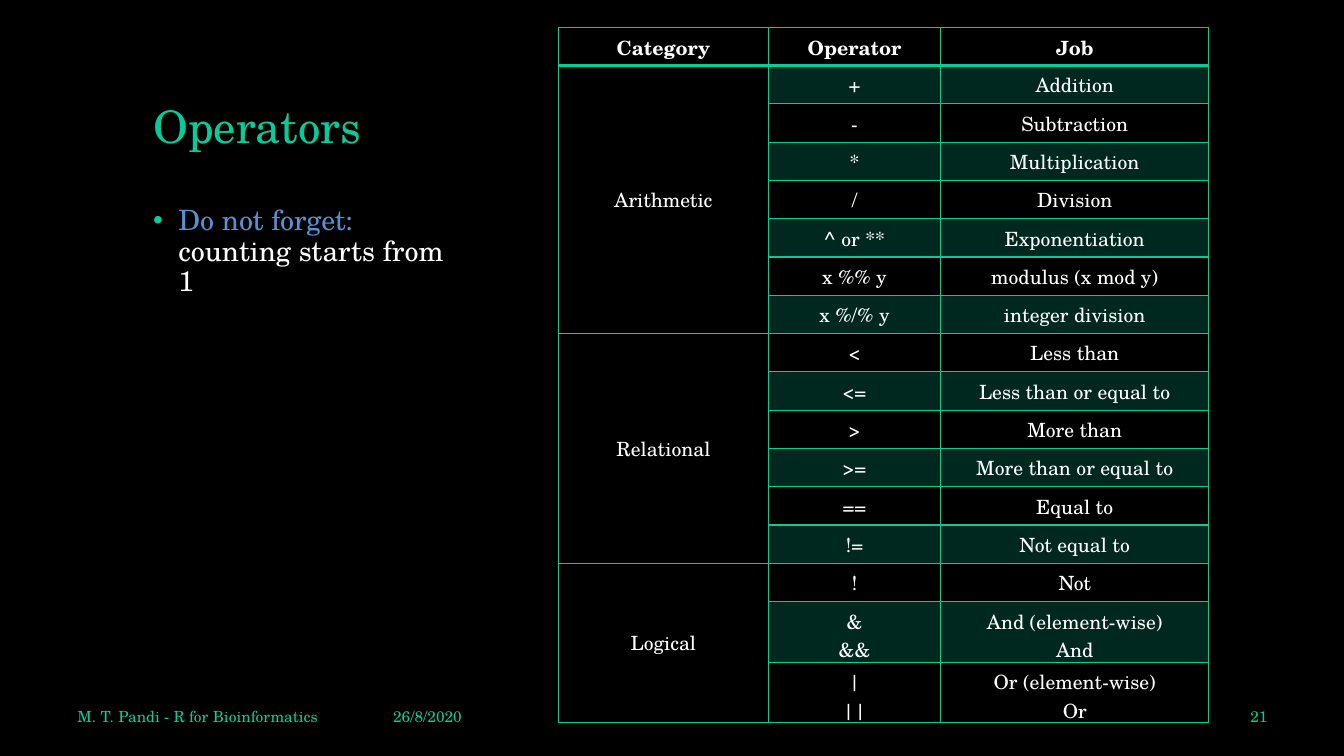
from dataclasses import dataclass

from lxml.etree import SubElement
from pptx import Presentation
from pptx.dml.color import RGBColor
from pptx.enum.text import MSO_ANCHOR, PP_ALIGN
from pptx.oxml.ns import qn
from pptx.util import Inches, Pt


@dataclass(frozen=True)
class Theme:
    font: str = "TeX Gyre Schola"
    background: str = "000000"
    text: str = "FFFFFF"
    accent: str = "07CB98"
    highlight: str = "5A90D1"
    band_opacity: int = 20
    title_size: int = 32
    body_size: int = 20
    table_size: int = 14
    footer_size: int = 11


HEADINGS = ["Category", "Operator", "Job"]
OPERATORS = {
    "Arithmetic": [
        ("+", "Addition"),
        ("-", "Subtraction"),
        ("*", "Multiplication"),
        ("/", "Division"),
        ("^ or **", "Exponentiation"),
        ("x %% y", "modulus (x mod y)"),
        ("x %/% y", "integer division"),
    ],
    "Relational": [
        ("<", "Less than"),
        ("<=", "Less than or equal to"),
        (">", "More than"),
        (">=", "More than or equal to"),
        ("==", "Equal to"),
        ("!=", "Not equal to"),
    ],
    "Logical": [
        ("!", "Not"),
        ("&\n&&", "And (element-wise)\nAnd"),
        ("|\n||", "Or (element-wise)\nOr"),
    ],
}


class SlideBuilder:
    def __init__(self, page, theme):
        self.page = page
        self.theme = theme
        page.background.fill.solid()
        page.background.fill.fore_color.rgb = RGBColor.from_string(theme.background)

    def style(self, font, size, color, bold=False):
        font.name = self.theme.font
        font.size = Pt(size)
        font.bold = bold
        font.color.rgb = RGBColor.from_string(color)

    def text_box(self, left, top, width, height, anchor):
        box = self.page.shapes.add_textbox(
            Inches(left), Inches(top), Inches(width), Inches(height))
        box.text_frame.word_wrap = True
        box.text_frame.vertical_anchor = anchor
        return box.text_frame.paragraphs[0]

    def title(self, text, left, top, width, height):
        title = self.page.shapes.title
        title.left, title.top = Inches(left), Inches(top)
        title.width, title.height = Inches(width), Inches(height)
        title.text_frame.text = text
        title.text_frame.vertical_anchor = MSO_ANCHOR.BOTTOM
        para = title.text_frame.paragraphs[0]
        para.alignment = PP_ALIGN.LEFT
        para.line_spacing = 0.9
        self.style(para.font, self.theme.title_size, self.theme.accent)

    def bullet(self, spans, left, top, width, height):
        """Add one bulleted paragraph made of (text, color) spans."""
        para = self.text_box(left, top, width, height, MSO_ANCHOR.TOP)
        para.line_spacing = 0.9
        properties = para._p.get_or_add_pPr()
        properties.set("marL", str(Inches(0.25)))
        properties.set("indent", str(-Inches(0.25)))
        bullet_color = SubElement(properties, qn("a:buClr"))
        SubElement(bullet_color, qn("a:srgbClr"), val=self.theme.accent)
        SubElement(properties, qn("a:buFont"), typeface="Arial")
        SubElement(properties, qn("a:buChar"), char="•")
        for text, color in spans:
            span = para.add_run()
            span.text = text
            self.style(span.font, self.theme.body_size, color)

    def footer(self, text, left, width, alignment):
        para = self.text_box(left, 6.98, width, 0.25, MSO_ANCHOR.MIDDLE)
        para.text = text
        para.alignment = alignment
        self.style(para.font, self.theme.footer_size, self.theme.accent)

    def borders(self, cell, top, bottom):
        """Draw the four cell edges; top and bottom are widths in points."""
        properties = cell._tc.get_or_add_tcPr()
        for edge, width in (("L", 1), ("R", 1), ("T", top), ("B", bottom)):
            line = SubElement(properties, qn(f"a:ln{edge}"), w=str(Pt(width)))
            fill = SubElement(line, qn("a:solidFill"))
            SubElement(fill, qn("a:srgbClr"), val=self.theme.accent)

    def shade(self, cell):
        cell.fill.solid()
        cell.fill.fore_color.rgb = RGBColor.from_string(self.theme.accent)
        color = next(cell._tc.tcPr.iter(qn("a:srgbClr")), None)
        for color in cell._tc.tcPr.find(qn("a:solidFill")):
            SubElement(color, qn("a:alpha"), val=str(self.theme.band_opacity * 1000))

    def cell(self, cell, text, row, banded):
        self.borders(cell, top=2 if row == 1 else 1, bottom=2 if row == 0 else 1)
        if banded:
            self.shade(cell)
        else:
            cell.fill.background()
        cell.vertical_anchor = MSO_ANCHOR.MIDDLE
        cell.text = text
        for para in cell.text_frame.paragraphs:
            para.alignment = PP_ALIGN.CENTER
            self.style(para.font, self.theme.table_size, self.theme.text, bold=row == 0)

    def grouped_table(self, headings, groups, left, top, widths):
        """Add a table whose first column merges the rows of each group."""
        rows = [headings]
        spans = []
        for category, entries in groups.items():
            spans.append((len(rows), len(rows) + len(entries) - 1))
            for index, entry in enumerate(entries):
                rows.append([category if index == 0 else "", *entry])
        heights = [0.6 if "\n" in row[1] else 0.38 for row in rows]

        table = self.page.shapes.add_table(
            len(rows), len(headings), Inches(left), Inches(top),
            Inches(sum(widths)), Inches(sum(heights))).table
        table.first_row = table.horz_banding = False
        for column, width in zip(table.columns, widths):
            column.width = Inches(width)
        for row, (texts, height) in enumerate(zip(rows, heights)):
            table.rows[row].height = Inches(height)
            for column, text in enumerate(texts):
                banded = row % 2 == 1 and column > 0
                self.cell(table.cell(row, column), text, row, banded)
        for first, last in spans:
            table.cell(first, 0).merge(table.cell(last, 0))


def main():
    deck = Presentation()
    deck.slide_width, deck.slide_height = Inches(13.33), Inches(7.5)
    theme = Theme()
    builder = SlideBuilder(deck.slides.add_slide(deck.slide_layouts[5]), theme)
    builder.title("Operators", 1.42, 0.4, 10.5, 1.17)
    builder.bullet(
        [("Do not forget: ", theme.highlight), ("counting starts from 1", theme.text)],
        1.42, 2, 3.15, 0.85)
    builder.grouped_table(HEADINGS, OPERATORS, 5.54, 0.27, [2.08, 1.71, 2.66])
    builder.footer("M. T. Pandi - R for Bioinformatics", 0.67, 2.9, PP_ALIGN.LEFT)
    builder.footer("21", 11.76, 0.91, PP_ALIGN.RIGHT)
    builder.footer("26/8/2020", 3.61, 1.07, PP_ALIGN.RIGHT)
    deck.save("out.pptx")


if __name__ == "__main__":
    main()
